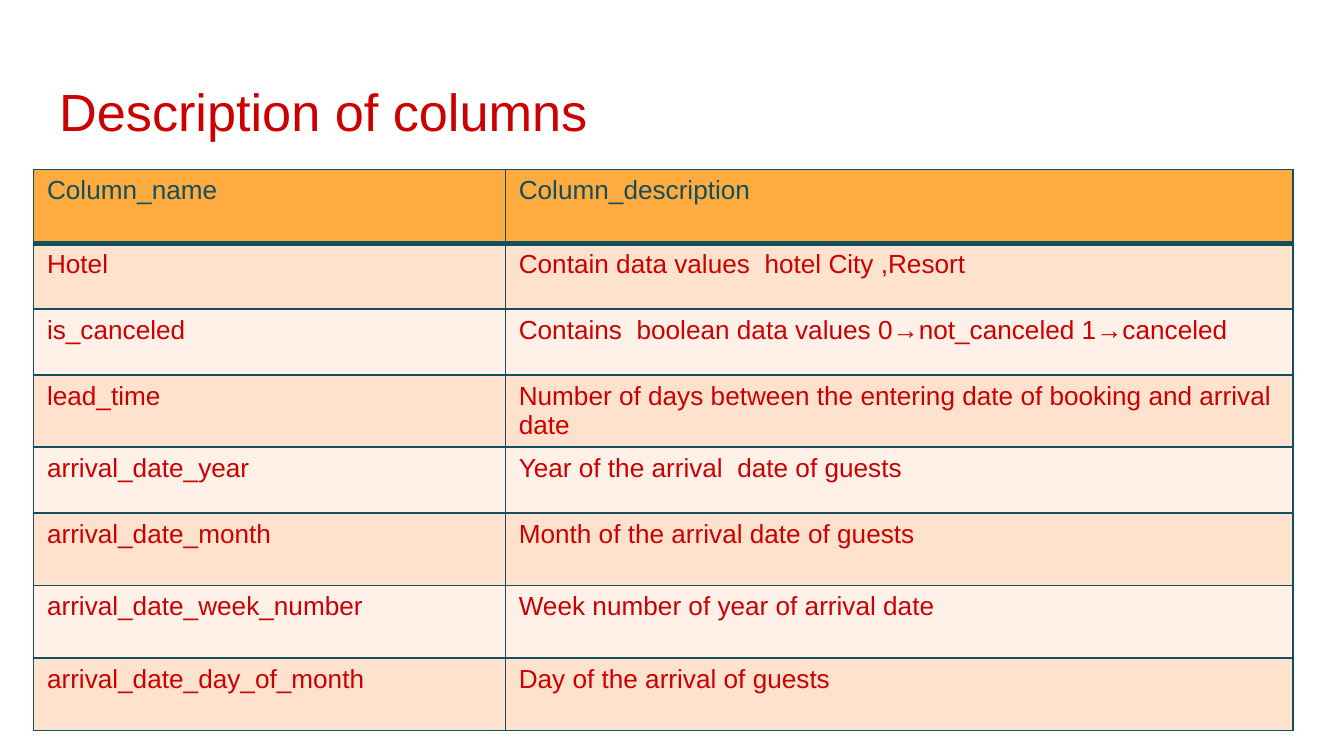
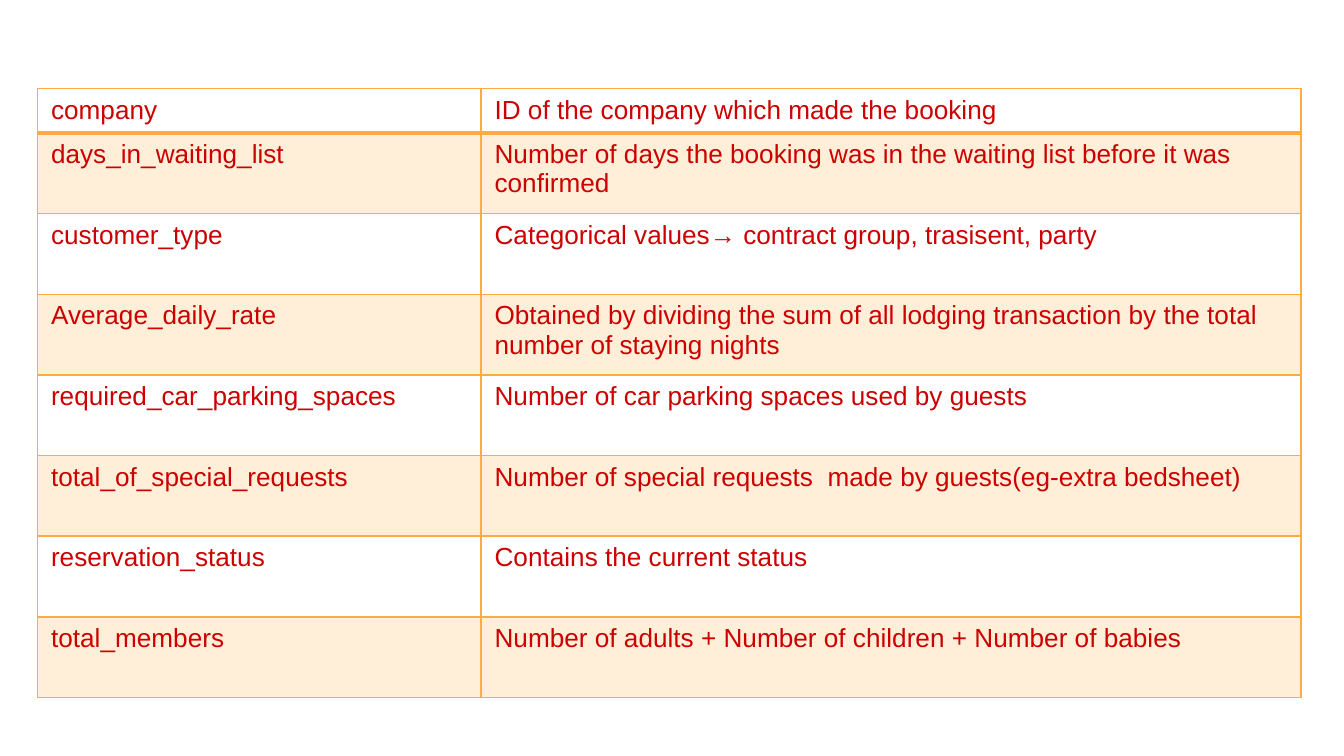
from lxml.etree import SubElement
from pptx import Presentation
from pptx.dml.color import RGBColor
from pptx.enum.text import MSO_ANCHOR, MSO_AUTO_SIZE, PP_ALIGN
from pptx.oxml.ns import qn
from pptx.util import Inches, Pt

WIDTH = 10
HEIGHT = WIDTH * 9 / 16
TITLE_ONLY, BLANK = 5, 6
RED, TEAL, ORANGE = "CC0000", "134F5C", "FFAB40"
PEACH, CREAM = "FFE2CD", "FFF1E8"
TITLE_BOX = (0.34, 0.49, 9.32, 0.63)

BOOKING = {
    "box": (0.25, 1.26, 9.37),
    "columns": (3.51, 5.86),
    "heights": [0.55] + [0.49] * 4 + [0.54] * 3,
    "border": TEAL,
    "rule": 3,
    "header": {"fill": ORANGE, "color": TEAL},
    "bands": ({"fill": PEACH}, {"fill": CREAM}),
    "rows": [
        ("Column_name", "Column_description"),
        ("Hotel", "Contain data values  hotel City ,Resort"),
        ("is_canceled", "Contains  boolean data values 0→not_canceled 1→canceled"),
        ("lead_time", "Number of days between the entering date of booking and arrival date"),
        ("arrival_date_year", "Year of the arrival  date of guests"),
        ("arrival_date_month", "Month of the arrival date of guests"),
        ("arrival_date_week_number", "Week number of year of arrival date"),
        ("arrival_date_day_of_month", "Day of the arrival of guests"),
    ],
}

GUEST = {
    "box": (0.28, 0.66, 9.4),
    "columns": (3.3, 6.1),
    "heights": [0.33] + [0.6] * 7,
    "border": ORANGE,
    "rule": 2,
    "header": {},
    "bands": ({"fill": ORANGE, "alpha": 20}, {}),
    "rows": [
        ("company", "ID of the company which made the booking"),
        ("days_in_waiting_list",
         "Number of days the booking was in the waiting list before it was confirmed"),
        ("customer_type", "Categorical values→ contract group, trasisent, party"),
        ("Average_daily_rate",
         "Obtained by dividing the sum of all lodging transaction by the total "
         "number of staying nights"),
        ("required_car_parking_spaces", "Number of car parking spaces used by guests"),
        ("total_of_special_requests",
         "Number of special requests  made by guests(eg-extra bedsheet)"),
        ("reservation_status", "Contains the current status"),
        ("total_members", "Number of adults + Number of children + Number of babies"),
    ],
}


def rgb(color):
    return RGBColor.from_string(color)


def set_attrs(obj, values):
    for name, value in values.items():
        setattr(obj, name, value)


def write(tf, text, size, color):
    p = tf.paragraphs[0]
    p.alignment = PP_ALIGN.LEFT
    r = p.add_run()
    r.text = text
    set_attrs(r.font, {"name": "Arial", "size": Pt(size), "bold": False})
    r.font.color.rgb = rgb(color)


def set_borders(cell, color, top=1, bottom=1):
    tc_pr = cell._tc.get_or_add_tcPr()
    for side, points in (("L", 1), ("R", 1), ("T", top), ("B", bottom)):
        ln = SubElement(tc_pr, qn(f"a:ln{side}"), w=str(Pt(points)))
        fill = SubElement(ln, qn("a:solidFill"))
        SubElement(fill, qn("a:srgbClr"), val=color)


def set_fill(cell, color=None, alpha=None):
    """Fill a cell; alpha is its opacity in percent."""
    if color is None:
        cell.fill.background()
        return
    cell.fill.solid()
    cell.fill.fore_color.rgb = rgb(color)
    if alpha is not None:
        clr = cell._tc.tcPr.find(qn("a:solidFill")).find(qn("a:srgbClr"))
        SubElement(clr, qn("a:alpha"), val=str(alpha * 1000))


def add_title(slide, text, box):
    sp = slide.shapes.title
    set_attrs(sp, dict(zip(("left", "top", "width", "height"), map(Inches, box))))
    tf = sp.text_frame
    margins = ("margin_left", "margin_top", "margin_right", "margin_bottom")
    set_attrs(tf, dict.fromkeys(margins, Inches(0.1)))
    set_attrs(tf, {"word_wrap": True, "auto_size": MSO_AUTO_SIZE.NONE,
                   "vertical_anchor": MSO_ANCHOR.TOP})
    write(tf, text, 28, RED)


def add_column_table(slide, content):
    """Two-column table: a ruled first row, then alternating bands."""
    rows, heights = content["rows"], content["heights"]
    columns, rule = content["columns"], content["rule"]
    left, top, width = content["box"]
    table = slide.shapes.add_table(
        len(rows), len(columns), Inches(left), Inches(top),
        Inches(width), Inches(sum(heights))).table
    set_attrs(table, {"first_row": False, "horz_banding": False})
    for column, share in zip(table.columns, columns):
        column.width = Inches(width * share / sum(columns))
    for i, (row, height, texts) in enumerate(zip(table.rows, heights, rows)):
        row.height = Inches(height)
        style = content["bands"][(i - 1) % 2] if i else content["header"]
        for cell, text in zip(row.cells, texts):
            write(cell.text_frame, text, 14, style.get("color", RED))
            set_borders(cell, content["border"],
                        top=rule if i == 1 else 1, bottom=rule if i == 0 else 1)
            set_fill(cell, style.get("fill"), style.get("alpha"))


def booking_slide(prs):
    slide = prs.slides.add_slide(prs.slide_layouts[TITLE_ONLY])
    add_title(slide, "Description of columns", TITLE_BOX)
    add_column_table(slide, BOOKING)


def guest_slide(prs):
    slide = prs.slides.add_slide(prs.slide_layouts[BLANK])
    add_column_table(slide, GUEST)


def main():
    prs = Presentation()
    set_attrs(prs, {"slide_width": Inches(WIDTH), "slide_height": Inches(HEIGHT)})
    booking_slide(prs)
    guest_slide(prs)
    prs.save("out.pptx")


if __name__ == "__main__":
    main()
